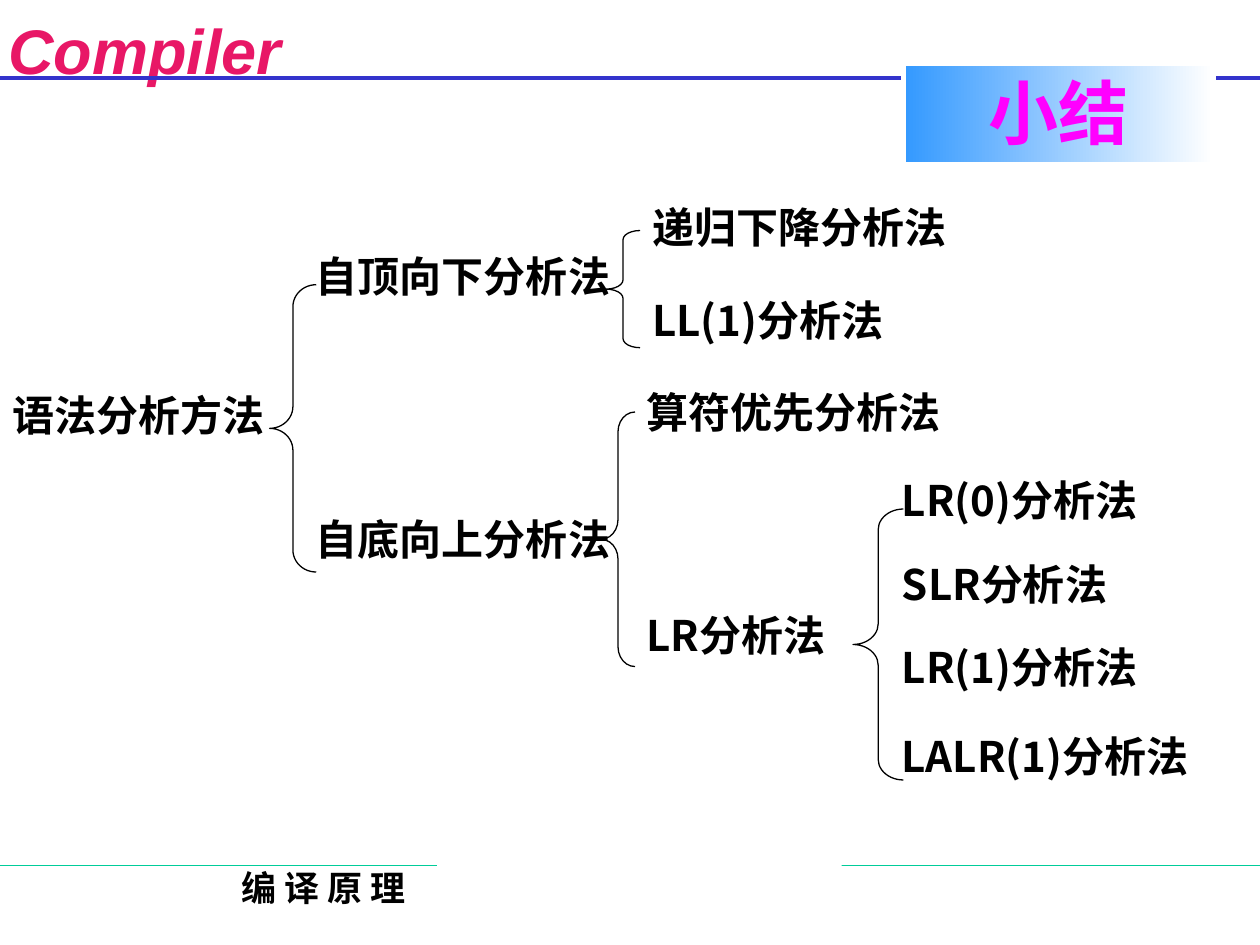
from lxml import etree
from pptx import Presentation
from pptx.dml.color import RGBColor
from pptx.enum.shapes import MSO_CONNECTOR, MSO_SHAPE
from pptx.enum.text import MSO_ANCHOR, MSO_AUTO_SIZE, PP_ALIGN
from pptx.oxml.ns import qn
from pptx.util import Inches, Pt

RECTANGLE, BRACE = MSO_SHAPE.RECTANGLE, MSO_SHAPE.LEFT_BRACE
STRAIGHT = MSO_CONNECTOR.STRAIGHT
TOP = MSO_ANCHOR.TOP
LEFT, CENTER = PP_ALIGN.LEFT, PP_ALIGN.CENTER
NO_RESIZE = MSO_AUTO_SIZE.NONE

BLACK = RGBColor(0x00, 0x00, 0x00)
WHITE = RGBColor(0xFF, 0xFF, 0xFF)
PINK = RGBColor(0xE8, 0x17, 0x66)
MAGENTA = RGBColor(0xFF, 0x00, 0xFF)
BLUE = RGBColor(0x33, 0x33, 0xCC)
SKY = RGBColor(0x33, 0x99, 0xFF)
GREEN = RGBColor(0x00, 0xCC, 0x99)
CJK_FONT = "Noto Sans CJK SC"

# Content: positions and sizes in inches
PAGE_WIDTH, PAGE_HEIGHT = 10, 7.5
LABEL_HEIGHT = 0.76
LABELS = [  # text, left, top, width
    ("语法分析方法", 0, 3.04, 2.41),
    ("自顶向下分析法", 2.41, 1.94, 2.94),
    ("递归下降分析法", 5.08, 1.55, 2.67),
    ("LL(1)分析法", 5.08, 2.29, 2.67),
    ("自底向上分析法", 2.41, 4.03, 2.67),
    ("算符优先分析法", 5.03, 3.02, 2.67),
    ("LR分析法", 5.03, 4.79, 1.87),
    ("LR(0)分析法", 7.06, 3.72, 2.41),
    ("SLR分析法", 7.06, 4.38, 2.14),
    ("LR(1)分析法", 7.06, 5.04, 2.67),
    ("LALR(1)分析法", 7.06, 5.75, 2.94),
]
BRACES = [  # left, top, width, height, curve
    (4.81, 1.83, 0.27, 0.93, 0.27),
    (4.77, 3.27, 0.27, 2.02, 0.58),
    (6.77, 4.04, 0.4, 2.15, 0.41),
    (2.14, 2.26, 0.37, 2.28, 0.47),
]


def write(shape, text, size, color, name=CJK_FONT, align=LEFT, italic=False):
    frame = shape.text_frame
    frame.text = text
    frame.vertical_anchor = TOP
    para = frame.paragraphs[0]
    para.alignment = align
    span = para.runs[0]
    font = span.font
    font.size, font.name = Pt(size), name
    font.bold, font.italic = True, italic
    font.color.rgb = color
    east_asian = etree.SubElement(font._element, qn("a:ea"))
    east_asian.set("typeface", CJK_FONT)
    return frame


def add_text(page, place, text, size, color, name, wrap, italic=False):
    box = page.shapes.add_textbox(*map(Inches, place))
    frame = write(box, text, size, color, name, CENTER, italic)
    frame.word_wrap = wrap
    return frame


def add_rule(page, y, color, width):
    rule = page.shapes.add_connector(
        STRAIGHT, 0, Inches(y), Inches(PAGE_WIDTH), Inches(y))
    rule.line.color.rgb = color
    rule.line.width = Pt(width)
    etree.SubElement(rule._element.spPr, qn("a:effectLst"))


def add_panel(page, *place):
    panel = page.shapes.add_shape(RECTANGLE, *map(Inches, place))
    panel.shadow.inherit = False
    panel.fill.solid()
    panel.fill.fore_color.rgb = WHITE
    panel.line.fill.background()
    return panel


def add_brace(page, left, top, width, height, curve):
    brace = page.shapes.add_shape(
        BRACE, *map(Inches, (left, top, width, height)))
    brace.shadow.inherit = False
    brace.adjustments[0] = curve
    brace.fill.background()
    brace.line.color.rgb = BLACK
    brace.line.width = Pt(0.75)


def format_title(page):
    title = page.shapes.title
    title.left, title.top = Inches(7.17), Inches(0.5)
    title.width, title.height = Inches(2.46), Inches(0.81)
    title.fill.gradient()
    title.fill.gradient_angle = 0
    for stop, color, position in zip(
            title.fill.gradient_stops, (SKY, WHITE), (0, 1)):
        stop.color.rgb = color
        stop.position = position
    title.line.color.rgb = WHITE
    title.line.width = Pt(3)
    frame = write(title, "小结", 40, MAGENTA, align=CENTER)
    frame.auto_size = NO_RESIZE
    # Bring the title in front of the header rule
    page.shapes._spTree.append(title._element)


def main():
    deck = Presentation()
    deck.slide_width, deck.slide_height = Inches(PAGE_WIDTH), Inches(PAGE_HEIGHT)
    page = deck.slides.add_slide(deck.slide_layouts[5])

    # Header and footer; the header box is wide enough for one line
    header = add_text(page, (0, 0.04, 2.3, 0.62), "Compiler", 36, PINK,
                      "Arial", False, italic=True)
    header.margin_left = header.margin_right = 0
    add_rule(page, 0.62, BLUE, 2.25)
    add_text(page, (0.5, 6.83, 4.14, 0.5), "编 译 原 理", 20, BLACK,
             "Times New Roman", True)
    add_rule(page, 6.87, GREEN, 0.75)

    # Tree of parsing methods
    for text, left, top, width in LABELS:
        label = add_panel(page, left, top, width, LABEL_HEIGHT)
        write(label, text, 24, BLACK)
    for brace in BRACES:
        add_brace(page, *brace)

    # White gap in the footer rule
    add_panel(page, 3.47, 6.3, 3.21, LABEL_HEIGHT)

    format_title(page)
    deck.save("out.pptx")


if __name__ == "__main__":
    main()
